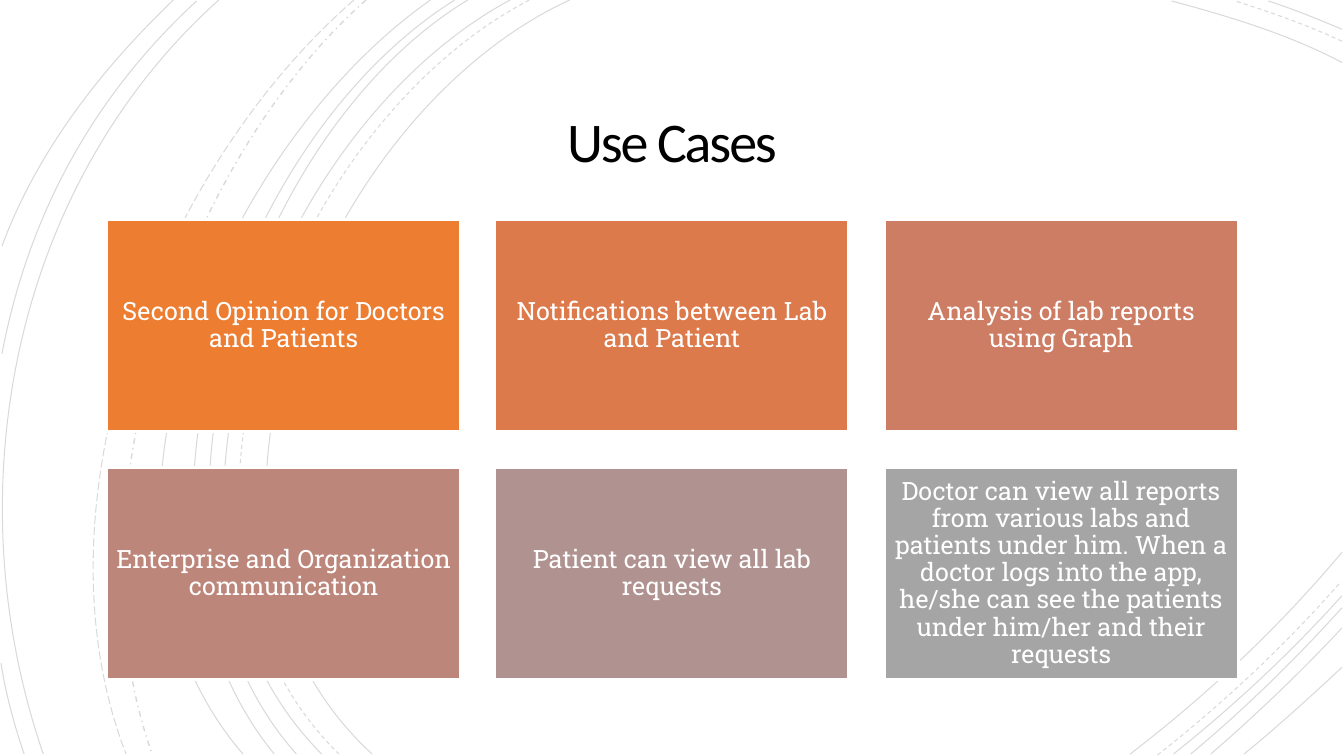
from lxml import etree
from pptx import Presentation
from pptx import util as u
from pptx.dml.color import RGBColor
from pptx.enum import dml, shapes, text
from pptx.oxml.ns import qn

PX = 9144

SOLID = dml.MSO_LINE.SOLID
DASH = dml.MSO_LINE.DASH
DASH_DOT = dml.MSO_LINE.DASH_DOT
LONG_DASH = dml.MSO_LINE.LONG_DASH

ARCS = [
    ((565, 0), (315, 115), (143, 540), (369, 748), SOLID),
    ((1331, 62), (1278, 34), (1218, 16), (1162, 1), SOLID),
    ((1121, 748), (1197, 690), (1269, 622), (1331, 548), SOLID),
    ((525, 0), (285, 125), (123, 537), (336, 748), DASH),
    ((1331, 41), (1297, 25), (1260, 12), (1225, 1), DASH),
    ((1148, 749), (1213, 698), (1275, 640), (1330, 577), DASH),
    ((506, 0), (270, 127), (110, 537), (319, 748), SOLID),
    ((1331, 29), (1307, 19), (1283, 9), (1258, 1), SOLID),
    ((1164, 748), (1223, 701), (1280, 648), (1331, 591), SOLID),
    ((464, 0), (244, 133), (110, 541), (294, 748), SOLID),
    ((1181, 748), (1234, 704), (1284, 655), (1331, 603), SOLID),
    ((451, 0), (231, 138), (97, 533), (272, 748), SOLID),
    ((1201, 748), (1246, 709), (1290, 667), (1331, 623), SOLID),
    ((427, 0), (217, 147), (53, 529), (241, 748), SOLID),
    ((1234, 748), (1267, 721), (1299, 692), (1331, 662), SOLID),
    ((363, 0), (176, 166), (65, 509), (151, 748), DASH_DOT),
    ((351, 0), (157, 169), (29, 499), (125, 748), LONG_DASH),
    ((217, 0), (11, 185), (-46, 490), (43, 748), SOLID),
    ((195, 1), (92, 96), (28, 214), (2, 351), SOLID),
    ((1, 658), (6, 689), (14, 719), (24, 748), SOLID),
    ((172, 0), (100, 69), (37, 150), (2, 244), SOLID),
]

USE_CASES = [
    ("ED7D31", "Second Opinion for Doctors and Patients"),
    ("DC7A4B", "Notifications between Lab and Patient"),
    ("CC7D64", "Analysis of lab reports using Graph"),
    ("BD867B", "Enterprise and Organization communication"),
    ("B09391", "Patient can view all lab requests"),
    ("A5A5A5", "Doctor can view all reports from various labs and patients under him. "
               "When a doctor logs into the app, he/she can see the patients under "
               "him/her and their requests"),
]


def px(*values):
    return [u.Emu(v * PX) for v in values]


def paint(fmt, color):
    fmt.solid()
    fmt.fore_color.rgb = RGBColor.from_string(color)


def add_arc(s, start, control1, control2, end, dash):
    builder = s.shapes.build_freeform(*start, scale=PX)
    builder.add_line_segments([control1, control2, end], close=False)
    sp = builder.convert_to_shape()
    sp.shadow.inherit = False
    sp.fill.background()

    path = sp._element.find(".//" + qn("a:path"))
    curve = etree.SubElement(path, qn("a:cubicBezTo"))
    for segment in path.findall(qn("a:lnTo")):
        curve.append(segment[0])
        path.remove(segment)

    paint(sp.line.fill, "000000")
    sp.line.width = u.Pt(1 if dash == DASH_DOT else 0.75)
    sp.line.dash_style = dash
    color = sp.line._ln.find(".//" + qn("a:srgbClr"))
    etree.SubElement(color, qn("a:alpha"), val="15000")


def write(sp, words, font, size, color, spacing, inset):
    tf = sp.text_frame
    tf.word_wrap = True
    tf.vertical_anchor = text.MSO_ANCHOR.MIDDLE
    tf.margin_left, tf.margin_top, tf.margin_right, tf.margin_bottom = px(*[inset] * 4)
    p = tf.paragraphs[0]
    p.alignment = text.PP_ALIGN.CENTER
    p.line_spacing = spacing
    r = p.add_run()
    r.text = words
    r.font.name = font
    r.font.size = u.Pt(size)
    paint(r.font.fill, color)
    return r


def add_title(s, words):
    sp = s.shapes.add_textbox(*px(192, 87, 949, 115))
    r = write(sp, words, "Calibri", 40, "000000", 0.85, 25)
    r.font._element.set("spc", "-150")


def add_card(s, left, top, color, words):
    sp = s.shapes.add_shape(shapes.MSO_SHAPE.RECTANGLE, *px(left, top, 351, 210))
    sp.shadow.inherit = False
    paint(sp.fill, color)
    paint(sp.line.fill, "FFFFFF")
    sp.line.width = u.Pt(2)
    write(sp, words, "Roboto Slab", 18, "FFFFFF", 0.9, 7)


def main():
    prs = Presentation()
    prs.slide_width, prs.slide_height = px(1333, 750)
    s = prs.slides.add_slide(prs.slide_layouts[6])
    paint(s.background.fill, "FFFFFF")
    for arc in ARCS:
        add_arc(s, *arc)
    add_title(s, "Use Cases")
    for i, (color, words) in enumerate(USE_CASES):
        row, col = divmod(i, 3)
        add_card(s, 106 + col * 771 // 2, 218 + row * 246, color, words)
    prs.save("out.pptx")


if __name__ == "__main__":
    main()
